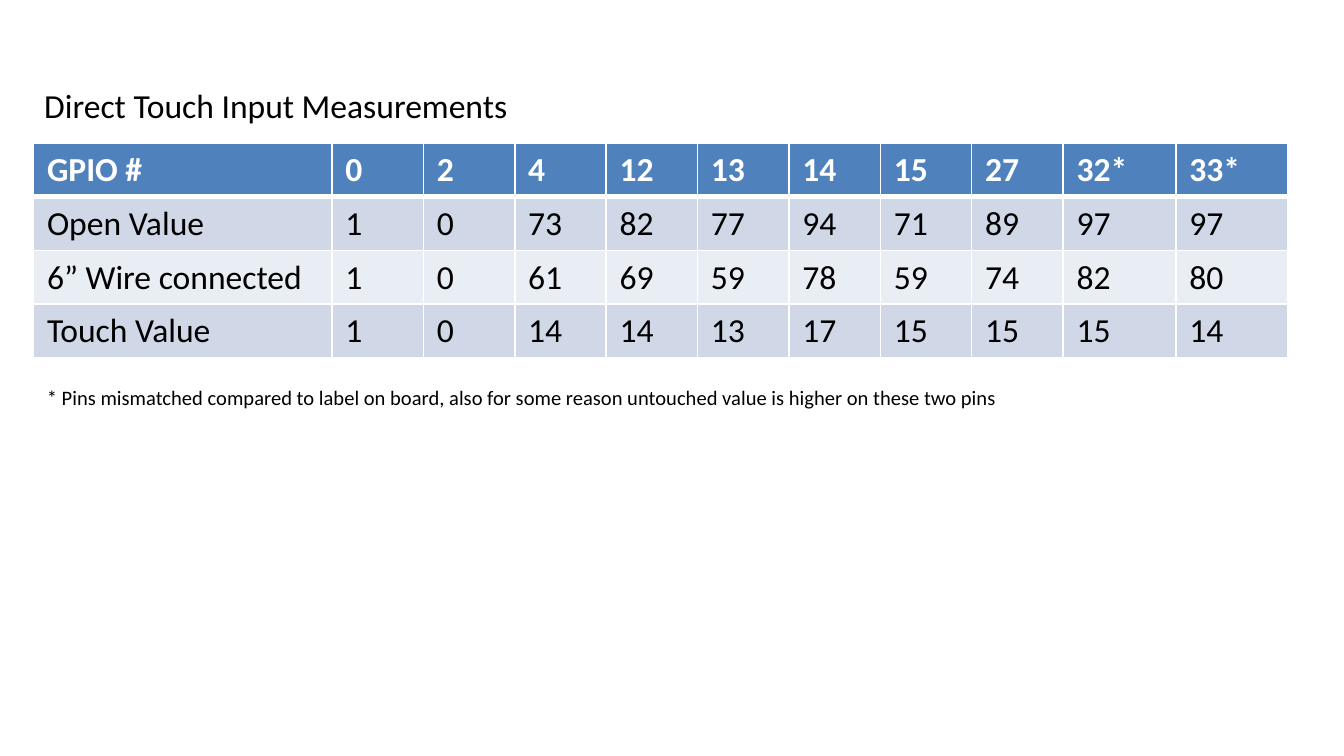
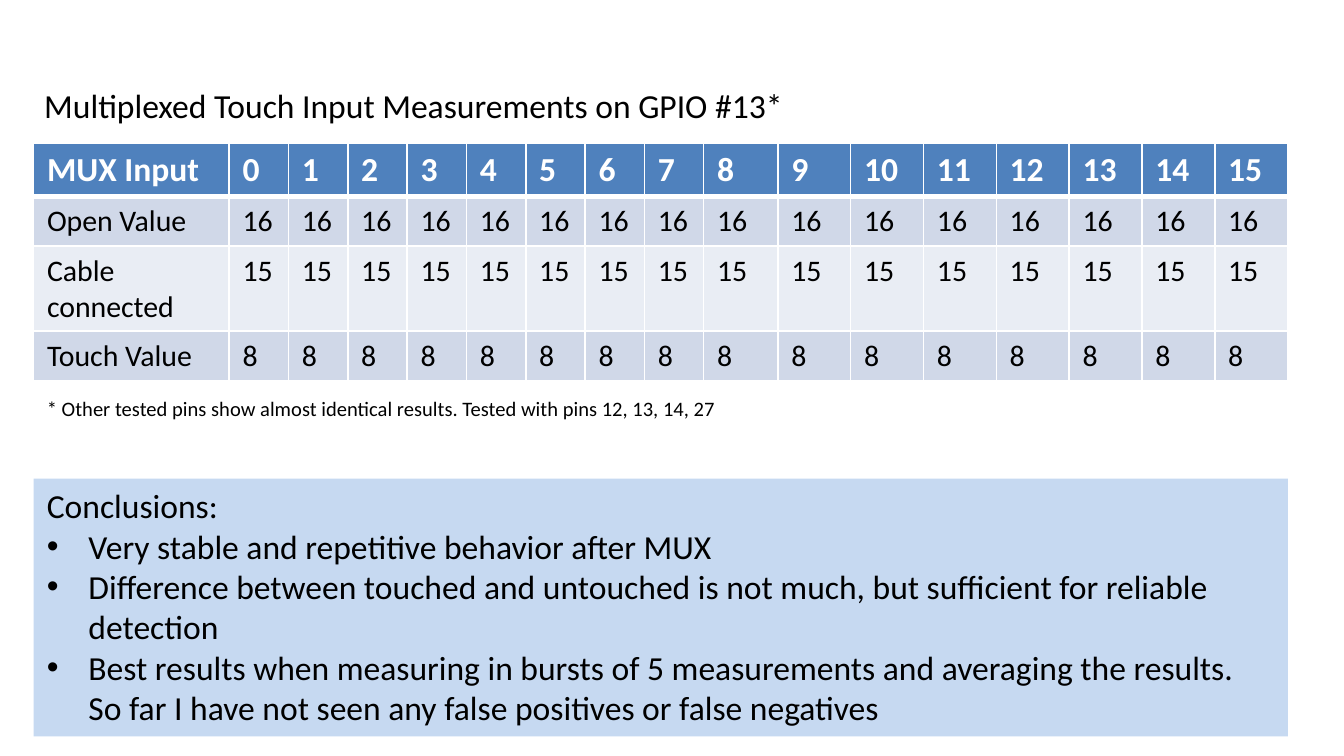
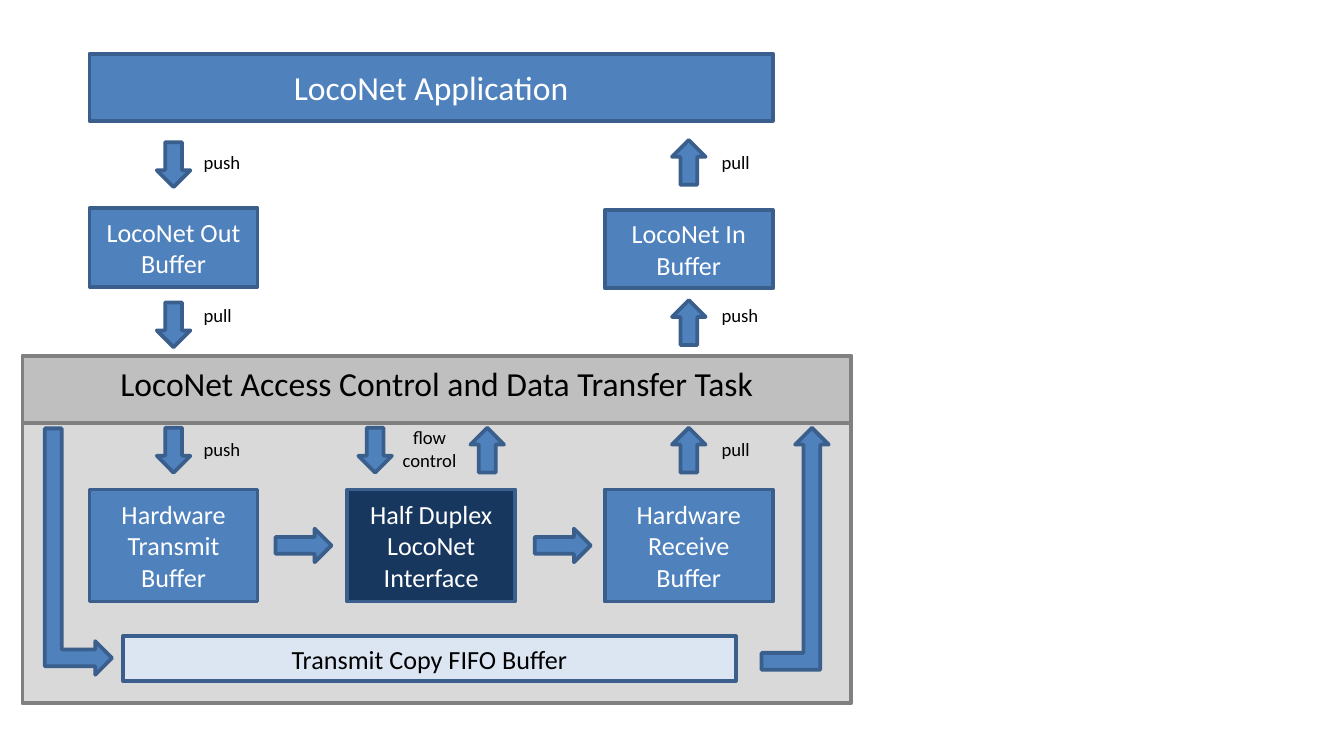
from pptx import Presentation
from pptx.dml.color import RGBColor
from pptx.enum.shapes import MSO_SHAPE
from pptx.enum.text import MSO_ANCHOR, MSO_AUTO_SIZE, PP_ALIGN
from pptx.oxml.ns import qn
from pptx.util import Inches, Pt
from lxml import etree

RECTANGLE = MSO_SHAPE.RECTANGLE
RIGHT_ARROW = MSO_SHAPE.RIGHT_ARROW
DOWN_ARROW = MSO_SHAPE.DOWN_ARROW
BENT_ARROW = MSO_SHAPE.BENT_UP_ARROW
TOP, MIDDLE = MSO_ANCHOR.TOP, MSO_ANCHOR.MIDDLE
LEFT, CENTER = PP_ALIGN.LEFT, PP_ALIGN.CENTER
GROW = MSO_AUTO_SIZE.SHAPE_TO_FIT_TEXT
TITLE_ONLY, BLANK = 5, 6

FONT = "Calibri"
COLORS = {
    "black": "000000", "white": "FFFFFF",
    "blue": "4F81BD", "blue line": "3A5F8C", "navy": "17375E",
    "pale blue": "DCE6F2", "light blue": "C6D9F1",
    "odd row": "D0D8E8", "even row": "E9EDF4",
    "panel": "D9D9D9", "band": "BFBFBF", "gray line": "808080",
}

# The grid has twelve cells to the inch; boxes are (left, top, width, height) in cells.
CELL = Inches(1) / 12
CONTENT = (3, 7, 112, 59)
DIAGRAM = (2, 4.8, 74, 58)


def grid(count):
    return round(count * CELL)


def place(region, left, top, width, height):
    """Turn a box relative to a region into slide lengths."""
    return [grid(n) for n in (region[0] + left, region[1] + top, width, height)]


def color(name):
    return RGBColor.from_string(COLORS[name])


def paint(fill, name):
    fill.solid()
    fill.fore_color.rgb = color(name)


def style_text(frame, size, ink="black", align=LEFT, anchor=TOP, bold=False):
    frame.vertical_anchor = anchor
    for para in frame.paragraphs:
        para.alignment = align
        for span in para.runs:
            font = span.font
            font.name, font.size, font.bold = FONT, Pt(size), bold
            font.color.rgb = color(ink)


def indent(para, inches, bullet=None):
    properties = para._p.get_or_add_pPr()
    properties.set("marL", str(Inches(inches)))
    properties.set("indent", str(-Inches(inches)))
    if bullet:
        etree.SubElement(properties, qn("a:buFont")).set("typeface", "Arial")
        etree.SubElement(properties, qn("a:buChar")).set("char", bullet)


def add_text(page, box, text, size, align=LEFT, wrap=True):
    text_box = page.shapes.add_textbox(*box)
    frame = text_box.text_frame
    frame.text = text
    frame.word_wrap = wrap
    frame.auto_size = GROW
    style_text(frame, size, align=align)
    return text_box


def add_block(page, box, kind=RECTANGLE, fill="blue", line="blue line", rotation=0,
              text="", size=14, ink="white", anchor=MIDDLE):
    block = page.shapes.add_shape(kind, *box)
    block.shadow.inherit = False
    block.rotation = rotation
    paint(block.fill, fill)
    block.line.color.rgb = color(line)
    block.line.width = Pt(2)
    if text:
        block.text_frame.text = text
        block.text_frame.word_wrap = True
        style_text(block.text_frame, size, ink, CENTER, anchor)


def set_borders(cell, top, bottom):
    properties = cell._tc.get_or_add_tcPr()
    for tag, width in (("a:lnL", 1), ("a:lnR", 1), ("a:lnT", top), ("a:lnB", bottom)):
        line = etree.SubElement(properties, qn(tag), w=str(Pt(width)))
        solid = etree.SubElement(line, qn("a:solidFill"))
        etree.SubElement(solid, qn("a:srgbClr"), val=COLORS["white"])


def add_title(page, region, text, width):
    title = page.shapes.title
    title.left, title.top, title.width, title.height = place(region, -0.25, -0.05, width, 4.8)
    frame = title.text_frame
    frame.text = text
    frame.word_wrap = False
    frame.auto_size = GROW
    style_text(frame, 18)


def add_measurements(page, region, rows, weights, height, body_size):
    box = place(region, 0, 5.75, region[2], height)
    holder = page.shapes.add_table(len(rows), len(weights), *box)
    table = holder.table
    for column, weight in zip(table.columns, weights):
        column.width = round(box[2] * weight / sum(weights))
    for number, values in enumerate(rows):
        header = number == 0
        table.rows[number].height = Inches(0.31 if header else 0.28)
        fill = "blue" if header else "odd row" if number % 2 else "even row"
        for cell, value in zip(table.rows[number].cells, values):
            cell.text = str(value)
            set_borders(cell, 3 if number == 1 else 1, 3 if header else 1)
            paint(cell.fill, fill)
            style_text(cell.text_frame, 18 if header else body_size,
                       "white" if header else "black", bold=header)
    holder.height = box[3]


def add_footnote(page, region, top, text):
    note = add_text(page, place(region, 0, top, region[2], 3.5), text, 11)
    indent(note.text_frame.paragraphs[0], 0.19)


def add_conclusions(page, region, heading, points):
    box = place(region, 0, 35.75, region[2], 23)
    panel = add_text(page, box, "\n".join([heading, *points]), 18)
    paint(panel.fill, "light blue")
    first, *others = panel.text_frame.paragraphs
    indent(first, 0.19)
    for para in others:
        indent(para, 0.31, "•")


def build_direct_slide(deck):
    page = deck.slides.add_slide(deck.slide_layouts[TITLE_ONLY])
    add_title(page, CONTENT, "Direct Touch Input Measurements", 44.3)
    rows = [
        ["GPIO #", 0, 2, 4, 12, 13, 14, 15, 27, "32*", "33*"],
        ["Open Value", 1, 0, 73, 82, 77, 94, 71, 89, 97, 97],
        ["6” Wire connected", 1, 0, 61, 69, 59, 78, 59, 74, 82, 80],
        ["Touch Value", 1, 0, 14, 14, 13, 17, 15, 15, 15, 14],
    ]
    add_measurements(page, CONTENT, rows, [222] + [68] * 8 + [84, 83], 19.2, 18)
    add_footnote(page, CONTENT, 26.75, "* Pins mismatched compared to label on board, also for "
                 "some reason untouched value is higher on these two pins")


def build_multiplexed_slide(deck):
    page = deck.slides.add_slide(deck.slide_layouts[TITLE_ONLY])
    add_title(page, CONTENT, "Multiplexed Touch Input Measurements on GPIO #13*", 69.2)
    inputs = 16
    rows = [
        ["MUX Input", *range(inputs)],
        ["Open Value"] + [16] * inputs,
        ["Cable connected"] + [15] * inputs,
        ["Touch Value"] + [8] * inputs,
    ]
    add_measurements(page, CONTENT, rows, [145] + [44] * 8 + [55] + [54] * 7, 21.2, 16)
    add_footnote(page, CONTENT, 27.8, "* Other tested pins show almost identical results. "
                 "Tested with pins 12, 13, 14, 27")
    add_conclusions(page, CONTENT, "Conclusions:", [
        "Very stable and repetitive behavior after MUX",
        "Difference between touched and untouched is not much, but sufficient for reliable "
        "detection",
        "Best results when measuring in bursts of 5 measurements and averaging the results. "
        "So far I have not seen any false positives or false negatives",
    ])


def add_buffers(page, region):
    """Draw the task panel and the buffers above and inside it."""
    add_block(page, place(region, 0, 27, 74, 31), fill="panel", line="gray line")
    hardware = [(6, "Hardware Transmit Buffer", "blue"),
                (29, "Half Duplex LocoNet Interface", "navy"),
                (52, "Hardware Receive Buffer", "blue")]
    for left, text, fill in hardware:
        add_block(page, place(region, left, 38.9, 15, 10), fill=fill, text=text)
    add_block(page, place(region, 9, 52, 54.7, 4), fill="pale blue",
              text="Transmit Copy FIFO Buffer", ink="black")
    add_block(page, place(region, 6, 13.8, 15, 7), text="LocoNet Out Buffer")
    add_block(page, place(region, 52, 13.95, 15, 7), text="LocoNet In Buffer")
    add_block(page, place(region, 6, 0, 61, 6), text="LocoNet Application", size=18)
    add_block(page, place(region, 0, 27, 74, 6), fill="band", line="gray line", anchor=TOP,
              text="LocoNet Access Control and Data Transfer Task", size=18, ink="black")


def add_flows(page, region):
    """Draw the arrows between the buffers, with their labels."""
    for left in (22.6, 45.75):
        add_block(page, place(region, left, 42.4, 5, 3), RIGHT_ARROW)
    add_block(page, place(region, 66, 33.4, 6, 21.6), BENT_ARROW)
    add_block(page, place(region, -6, 41.45, 22, 6), BENT_ARROW, rotation=90)

    levels = [(7.9, 7.7, 8.05, "push", "pull"),
              (22.2, 22, 21.75, "pull", "push"),
              (33.4, 33.4, 33.7, "push", "pull")]
    label_widths = {"push": 5.8, "pull": 4.9}
    for down_top, up_top, label_top, down_text, up_text in levels:
        sides = [(12, down_top, 0, 15, down_text), (58, up_top, 180, 61.25, up_text)]
        for left, top, rotation, label_left, text in sides:
            add_block(page, place(region, left, top, 3, 4), DOWN_ARROW, rotation=rotation)
            label_box = place(region, label_left, label_top, label_widths[text], 3.2)
            add_text(page, label_box, text, 10, wrap=False)

    for left, rotation in ((30, 0), (40, 180)):
        add_block(page, place(region, left, 33.4, 3, 4), DOWN_ARROW, rotation=rotation)
    add_text(page, place(region, 32.7, 32.65, 7.3, 5.3), "flow\ncontrol", 10, CENTER, wrap=False)


def build_architecture_slide(deck):
    page = deck.slides.add_slide(deck.slide_layouts[BLANK])
    add_buffers(page, DIAGRAM)
    add_flows(page, DIAGRAM)


def main():
    deck = Presentation()
    deck.slide_width = Inches(10)
    deck.slide_height = deck.slide_width * 9 // 16
    build_direct_slide(deck)
    build_multiplexed_slide(deck)
    build_architecture_slide(deck)
    deck.save("out.pptx")


if __name__ == "__main__":
    main()
